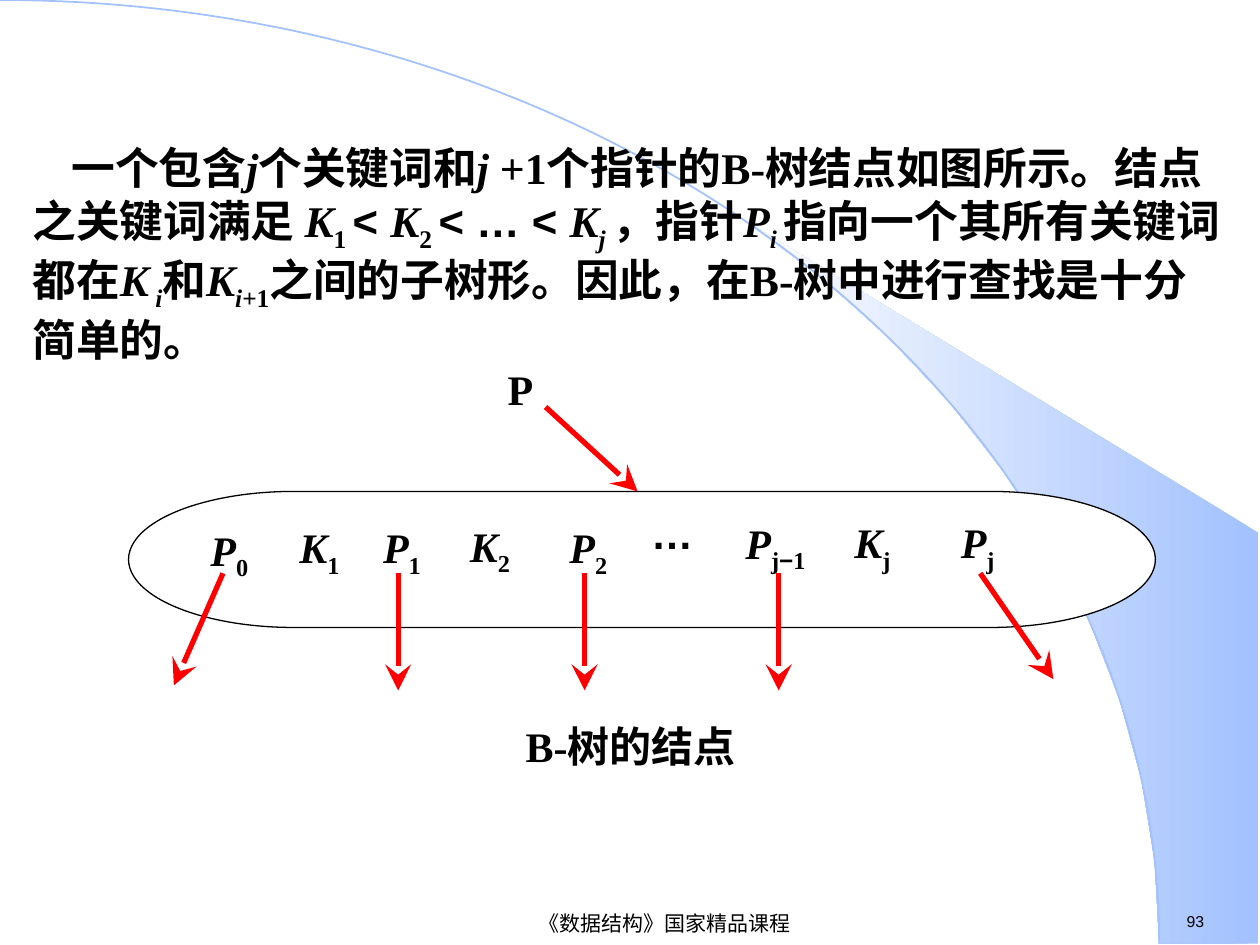
import math
from dataclasses import dataclass

import pptx
import pptx.dml.color
import pptx.enum.dml
import pptx.enum.shapes
import pptx.enum.text
import pptx.oxml.ns
import pptx.util
from lxml import etree
from pptx.util import Inches

ALIGN = pptx.enum.text.PP_ALIGN
ANCHOR = pptx.enum.text.MSO_ANCHOR
SHAPE = pptx.enum.shapes.MSO_SHAPE
qn = pptx.oxml.ns.qn


def rgb(value):
    return pptx.dml.color.RGBColor.from_string(value)


@dataclass(frozen=True)
class Theme:
    ink: str = "000000"
    paper: str = "FFFFFF"
    arrow: str = "FF0000"
    sweep: str = "A2C1FE"
    sweep_fade: str = "FEFEFE"
    serif: str = "Times New Roman"
    sans: str = "Arial"
    chinese: str = "Noto Sans CJK SC"
    body_size: float = 25
    node_size: float = 24
    footer_size: float = 12
    number_size: float = 9


THEME = Theme()


def add_text(slide, box, runs, size, font=THEME.serif, bold=True, align=ALIGN.LEFT,
             wrap=True, insets=(0, 0, 0, 0), anchor=ANCHOR.TOP):
    """Runs are (text, marks): i italic, s subscript, a sans, c Chinese font."""
    frame = slide.shapes.add_textbox(*map(Inches, box)).text_frame
    frame.word_wrap = wrap
    frame.vertical_anchor = anchor
    (frame.margin_left, frame.margin_top,
     frame.margin_right, frame.margin_bottom) = map(Inches, insets)
    paragraph = frame.paragraphs[0]
    paragraph.alignment = align
    paragraph.font.size = pptx.util.Pt(size)
    paragraph.font.name = font
    paragraph.font.bold = bold
    paragraph.font.color.rgb = rgb(THEME.ink)
    for text, marks in runs:
        run = paragraph.add_run()
        run.text = text
        if "i" in marks:
            run.font.italic = True
        if "a" in marks:
            run.font.name = THEME.sans
        if "c" in marks:
            run.font.name = THEME.chinese
        properties = run.font._element
        if "s" in marks:
            properties.set("baseline", "-25000")
        etree.SubElement(properties, qn("a:ea"), typeface=THEME.chinese)
    return paragraph


def add_arrow(slide, start, end):
    arrow = slide.shapes.add_connector(
        pptx.enum.shapes.MSO_CONNECTOR.STRAIGHT, *map(Inches, (*start, *end)))
    arrow.line.color.rgb = rgb(THEME.arrow)
    arrow.line.width = pptx.util.Pt(3)
    etree.SubElement(arrow.line._get_or_add_ln(), qn("a:tailEnd"),
                     type="stealth", w="lg", len="lg")
    etree.SubElement(arrow._element.spPr, qn("a:effectLst"))


def add_background(slide, box):
    left, top, width, height = box
    arc_width = 9.2

    # Shaded sweep outside the lower part of the arc
    angles = [math.radians(degree) for degree in range(40, 91, 5)]
    inner_edge = [(left + arc_width * math.sin(angle), top + height * (1 - math.cos(angle)))
                  for angle in angles]
    right = left + width
    outer_edge = [(right, top + height), (right, top + 4.23)]
    start, *rest = [tuple(map(Inches, point)) for point in inner_edge + outer_edge]
    builder = slide.shapes.build_freeform(*start)
    builder.add_line_segments(rest, close=True)
    sweep = builder.convert_to_shape()
    sweep.shadow.inherit = False
    sweep.line.fill.background()
    sweep.fill.gradient()
    sweep.fill.gradient_angle = 180
    for stop, color in zip(sweep.fill.gradient_stops, (THEME.sweep, THEME.sweep_fade)):
        stop.color.rgb = rgb(color)

    # Thin arc across the slide: the upper right quarter of its ellipse
    curve = slide.shapes.add_shape(SHAPE.ARC, Inches(left - arc_width), Inches(top),
                                   Inches(2 * arc_width), Inches(2 * height))
    curve.shadow.inherit = False
    curve.fill.background()
    curve.line.color.rgb = rgb(THEME.sweep)
    curve.line.width = pptx.util.Pt(1)


def add_footer(slide, box):
    left, top, width, height = box
    insets = (0.1, 0.05, 0.1, 0.05)
    add_text(slide, (left + 6.92, top, width - 6.92, height), [("93", "")],
             THEME.number_size, THEME.sans, False, wrap=False, insets=insets)
    add_text(slide, (left, top + 0.02, 5.75, 0.24), [("《数据结构》国家精品课程", "")],
             THEME.footer_size, THEME.sans, False, ALIGN.CENTER, False, insets, ANCHOR.MIDDLE)


def add_explanation(slide, box):
    runs = [
        ("一个包含", ""), ("j", "i"), ("个关键词和", ""), ("j", "i"),
        (" +1个指针的B-树结点如图所示。结点之关键词满足 ", ""),
        ("K", "i"), ("1 ", "s"), ("< ", "a"), ("K", "i"), ("2 ", "s"),
        ("< … < ", "a"), ("K", "i"), ("j ", "is"), ("，指针", ""),
        ("P", "i"), ("i ", "is"), ("指向一个其所有关键词都在", ""),
        ("K", "i"), (" i", "is"), ("和", ""), ("K", "i"), ("i", "is"), ("+1", "s"),
        ("之间的子树形。因此，在B-树中进行查找是十分简单的。", ""),
    ]
    paragraph = add_text(slide, box, runs, THEME.body_size, insets=(0.1, 0.05, 0.1, 0.05))
    paragraph._p.get_or_add_pPr().set("indent", str(Inches(0.31)))


def add_node(slide, box):
    left, top, width, height = box

    # Node body
    body = slide.shapes.add_shape(SHAPE.FLOWCHART_TERMINATOR, *map(Inches, box))
    body.shadow.inherit = False
    body.fill.solid()
    body.fill.fore_color.rgb = rgb(THEME.paper)
    body.line.color.rgb = rgb(THEME.ink)
    body.line.width = pptx.util.Pt(0.75)

    # Pointers and keys: offset in the node, size, letter, subscript, alignment
    fields = [
        (0.62, 0.26, 0.36, 0.49, "P", "0", ALIGN.CENTER),
        (1.32, 0.24, 0.39, 0.49, "K", "1", ALIGN.CENTER),
        (2.02, 0.24, 0.36, 0.49, "P", "1", ALIGN.JUSTIFY),
        (2.71, 0.23, 0.39, 0.49, "K", "2", ALIGN.JUSTIFY),
        (3.42, 0.24, 0.46, 0.49, "P", "2", ALIGN.CENTER),
        (4.83, 0.23, 0.61, 0.47, "P", "j−1", ALIGN.CENTER),
        (5.70, 0.20, 0.41, 0.53, "K", "j", ALIGN.CENTER),
        (6.54, 0.20, 0.40, 0.53, "P", "j", ALIGN.CENTER),
    ]
    for x, y, field_width, field_height, letter, index, align in fields:
        subscripts = [(sign, "sa" if sign == "−" else "s") for sign in index]
        field = add_text(slide, (left + x, top + y, field_width, field_height),
                         [(letter, "i"), *subscripts], THEME.node_size, align=align)
        if index == "j−1":
            field.line_spacing = 0.85
    add_text(slide, (left + 4.12, top + 0.13, 0.39, 0.66), [("…", "")],
             THEME.node_size, THEME.sans, align=ALIGN.CENTER)

    # Caption
    add_text(slide, (left + 2.37, top + 1.82, 3.23, 0.4), [("B-", ""), ("树的结点", "c")],
             THEME.node_size, align=ALIGN.CENTER)

    # Arrows to the subtrees: start x, end x, end y
    for start_x, end_x, end_y in [(0.75, 0.36, 1.54), (2.14, 2.14, 1.58), (3.62, 3.62, 1.58),
                                  (5.16, 5.16, 1.58), (6.76, 7.34, 1.49)]:
        add_arrow(slide, (left + start_x, top + 0.65), (left + end_x, top + end_y))

    # Pointer to the node
    add_arrow(slide, (left + 3.31, top - 0.67), (left + 4.04, top))
    pointer = add_text(slide, (left + 2.95, top - 0.94, 0.32, 0.32), [("P", "")],
                       THEME.node_size, align=ALIGN.CENTER)
    pointer.line_spacing = 0.8


def main():
    deck = pptx.Presentation()
    deck.slide_width, deck.slide_height = Inches(10), Inches(7.5)
    slide = deck.slides.add_slide(deck.slide_layouts[6])
    add_background(slide, (0, 0, 9.99, 7.49))
    add_footer(slide, (2.4, 7.19, 7.69, 0.25))
    add_explanation(slide, (0.16, 1.07, 9.69, 1.88))
    add_node(slide, (1.02, 3.9, 8.15, 1.08))
    deck.save("out.pptx")


if __name__ == "__main__":
    main()
